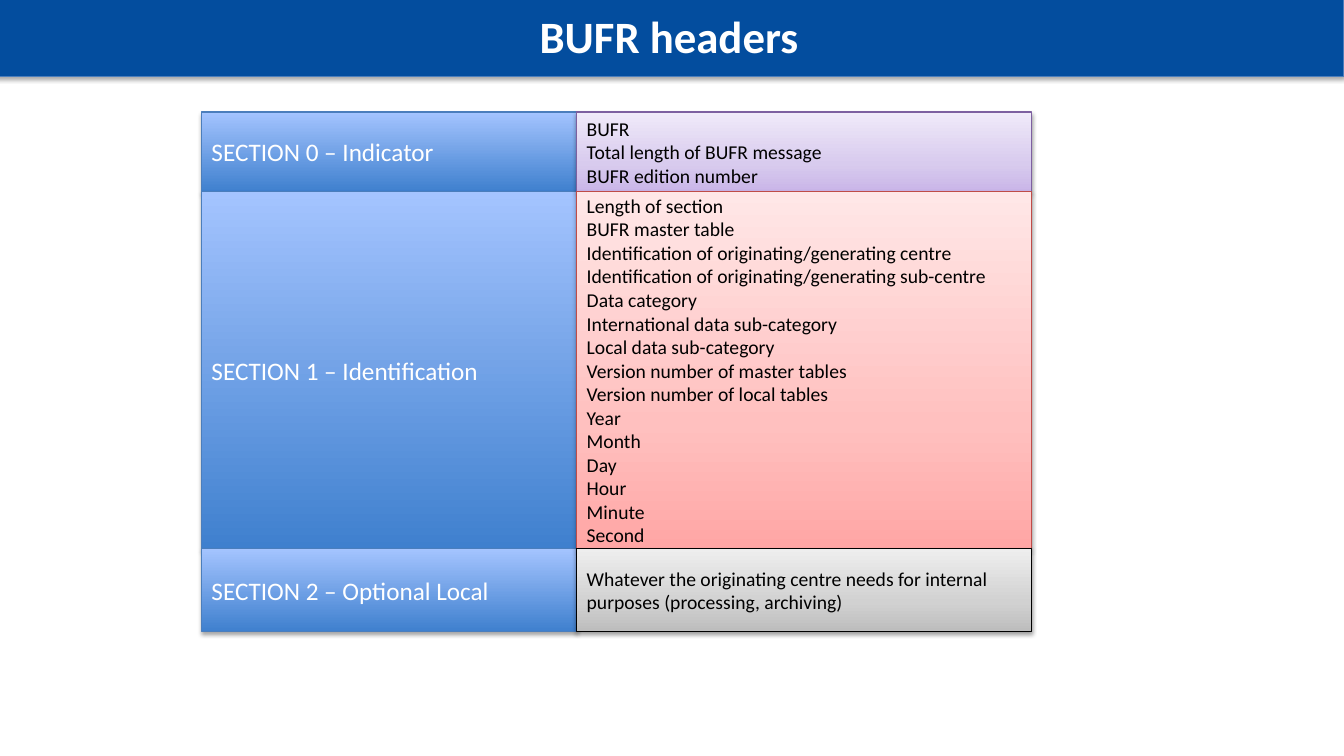
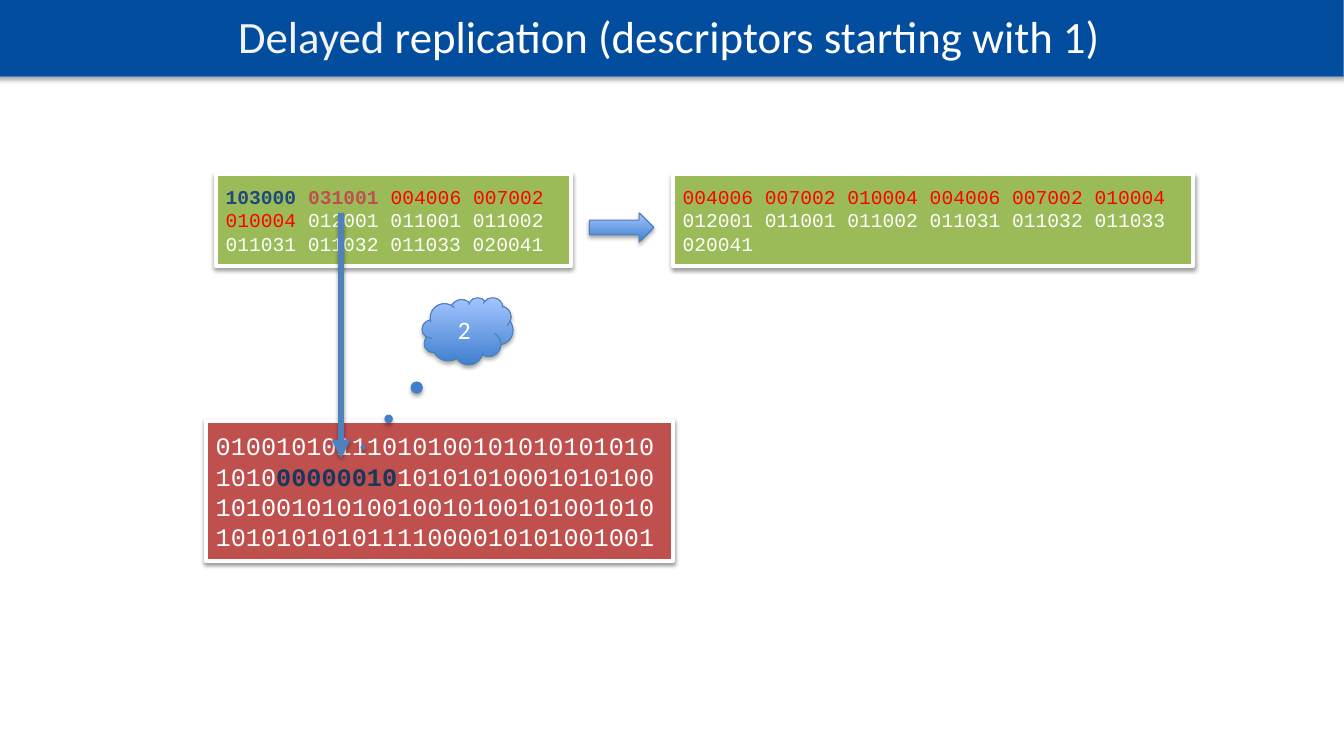
from lxml.etree import SubElement
from pptx import Presentation
from pptx.dml.color import RGBColor
from pptx.enum.shapes import MSO_CONNECTOR, MSO_SHAPE as SHAPE
from pptx.enum.text import MSO_ANCHOR, MSO_AUTO_SIZE, PP_ALIGN
from pptx.oxml.ns import qn
from pptx.util import Pt

# Shadows: opacity %, blur, distance
SOFT, FIRM = (35, 3.1, 1.8), (38, 3.1, 1.6)
# Gradients list (position %, colour) from the bottom up
BAND = dict(fill="034D9E", line="4B7EBC", width=0.75, shadow=SOFT)
BLUE = dict(fill=[(0, "3F80CE"), (100, "A4C4FF")], line="4B7EBC", width=0.75, shadow=SOFT)
PURPLE = dict(fill=[(0, "C9B5E8"), (35, "D8CBEE"), (100, "F0EAF9")],
              line="7D60A0", width=0.75, shadow=FIRM)
PINK = dict(fill=[(0, "FFA6A5"), (35, "FFC0BF"), (100, "FFE7E7")],
            line="BF4C48", width=0.75, shadow=FIRM)
GREY = dict(fill=[(0, "BDBDBD"), (35, "D1D1D1"), (100, "EEEEEE")],
            line="000000", width=0.75, shadow=FIRM)
GREEN = dict(fill="9BBB59", line="FFFFFF", width=3, shadow=FIRM)
RED = dict(fill="C0504D", line="FFFFFF", width=3, shadow=FIRM)

WHITE, BLACK, MARK = "FFFFFF", "000000", "FF0000"
SANS, MONO = "Calibri", "Courier New"

# Runs: (text, colour, bold)
HEADERS_TITLE = [("BUFR headers", WHITE, True)]
SECTIONS = [
    ("SECTION 0 – Indicator", PURPLE,
     ["BUFR", "Total length of BUFR message", "BUFR edition number"]),
    ("SECTION 1 – Identification", PINK,
     ["Length of section", "BUFR master table",
      "Identification of originating/generating centre",
      "Identification of originating/generating sub-centre",
      "Data category", "International data sub-category", "Local data sub-category",
      "Version number of master tables", "Version number of local tables",
      "Year", "Month", "Day", "Hour", "Minute", "Second"]),
    ("SECTION 2 – Optional Local", GREY,
     ["Whatever the originating centre needs for internal purposes (processing, archiving)"]),
]
ROW_EDGES = [80, 137, 392, 451]
COL_EDGES = [144, 412, 737]

REPLICATION_TITLE = [("Delayed", "F2F2F2", False),
                     (" replication (descriptors starting with 1)", WHITE, False)]
REPEATED = "004006 007002 010004 "
REST = ("012001 011001 011002 011031 011032 011033 020041", WHITE, False)
CODE_BOXES = [  # box, style, font size, runs
    ((154, 124.5, 254, 65.5), GREEN, 14,
     [("103000 ", "1F497D", True), ("031001 ", "C0504D", True),
      (REPEATED, MARK, False), REST]),
    ((480.5, 124.5, 371.5, 65.5), GREEN, 14, [(REPEATED * 2, MARK, False), REST]),
    ((147, 300.5, 333.5, 100.5), RED, 18,
     [("010010101110101001010101010101010", WHITE, False),
      ("00000010", "17375E", True),
      ("101010100010101001010010101001001010010100101010101010101111000010101001001",
       WHITE, False)]),
]


def rgb(value):
    return RGBColor.from_string(value)


def add_shadow(s, opacity, blur, distance):
    """Call after the line is set, so that the effects follow it."""
    effects = SubElement(s._element.spPr, qn("a:effectLst"))
    outer = SubElement(effects, qn("a:outerShdw"), blurRad=str(Pt(blur)),
                       dist=str(Pt(distance)), dir="5400000", rotWithShape="0")
    color = SubElement(outer, qn("a:srgbClr"), val=BLACK)
    SubElement(color, qn("a:alpha"), val=str(opacity * 1000))


def set_line(s, color, width):
    s.line.color.rgb = rgb(color)
    s.line.width = Pt(width)


def set_style(s, fill, line, width, shadow):
    if isinstance(fill, str):
        s.fill.solid()
        s.fill.fore_color.rgb = rgb(fill)
    else:
        s.fill.gradient()
        s.fill.gradient_angle = 90
        stops = s._element.spPr.find(".//" + qn("a:gsLst"))
        for stop in list(stops):
            stops.remove(stop)
        for position, color in fill:
            stop = SubElement(stops, qn("a:gs"), pos=str(position * 1000))
            SubElement(stop, qn("a:srgbClr"), val=color)
    set_line(s, line, width)
    add_shadow(s, *shadow)


def write(s, paragraphs, size, font=SANS, align=PP_ALIGN.LEFT):
    tf = s.text_frame
    for name, value in dict(word_wrap=True, auto_size=MSO_AUTO_SIZE.NONE,
                            vertical_anchor=MSO_ANCHOR.MIDDLE).items():
        setattr(tf, name, value)
    for i, runs in enumerate(paragraphs):
        p = tf.add_paragraph() if i else tf.paragraphs[0]
        p.alignment = align
        for text, color, bold in runs:
            r = p.add_run()
            r.text = text
            for name, value in dict(name=font, size=Pt(size), bold=bold).items():
                setattr(r.font, name, value)
            r.font.color.rgb = rgb(color)


def add_shape(slide, kind, box, style):
    s = slide.shapes.add_shape(kind, *map(Pt, box))
    set_style(s, **style)
    return s


def add_slide(prs, title_runs):
    """Add a slide with the title in the blue band."""
    slide = prs.slides.add_slide(prs.slide_layouts[5])
    title = slide.shapes.title
    for name, value in dict(left=-4, top=-3, width=964, height=57.5).items():
        setattr(title, name, Pt(value))
    set_style(title, **BAND)
    write(title, [title_runs], 32, align=PP_ALIGN.CENTER)
    return slide


def build_headers(prs):
    slide = add_slide(prs, HEADERS_TITLE)
    left, middle, right = COL_EDGES
    rows = list(zip(SECTIONS, ROW_EDGES, ROW_EDGES[1:]))
    for (name, _, _), top, bottom in rows:
        s = add_shape(slide, SHAPE.RECTANGLE, (left, top, middle - left, bottom - top), BLUE)
        write(s, [[(name, WHITE, False)]], 18)
    for (_, style, fields), top, bottom in rows:
        s = add_shape(slide, SHAPE.RECTANGLE, (middle, top, right - middle, bottom - top), style)
        write(s, [[(field, BLACK, False)] for field in fields], 14)


def build_replication(prs):
    slide = add_slide(prs, REPLICATION_TITLE)
    for box, style, size, runs in CODE_BOXES:
        write(add_shape(slide, SHAPE.RECTANGLE, box, style), [runs], size, MONO)
    add_shape(slide, SHAPE.RIGHT_ARROW, (421, 152, 46, 21), BLUE)

    pointer = slide.shapes.add_connector(
        MSO_CONNECTOR.STRAIGHT, *map(Pt, (243.5, 152, 243.5, 327.5)))
    set_line(pointer, "4F81BD", 4.5)
    SubElement(pointer.line._get_or_add_ln(), qn("a:tailEnd"), type="triangle")
    add_shadow(pointer, *FIRM)

    cloud = add_shape(slide, SHAPE.CLOUD_CALLOUT, (301.5, 212.5, 65, 48), BLUE)
    cloud.adjustments[0], cloud.adjustments[1] = -1.15, 1.73
    write(cloud, [[("2", WHITE, False)]], 18, align=PP_ALIGN.CENTER)


def main():
    prs = Presentation()
    prs.slide_width, prs.slide_height = Pt(960), Pt(540)
    build_headers(prs)
    build_replication(prs)
    prs.save("out.pptx")


if __name__ == "__main__":
    main()
